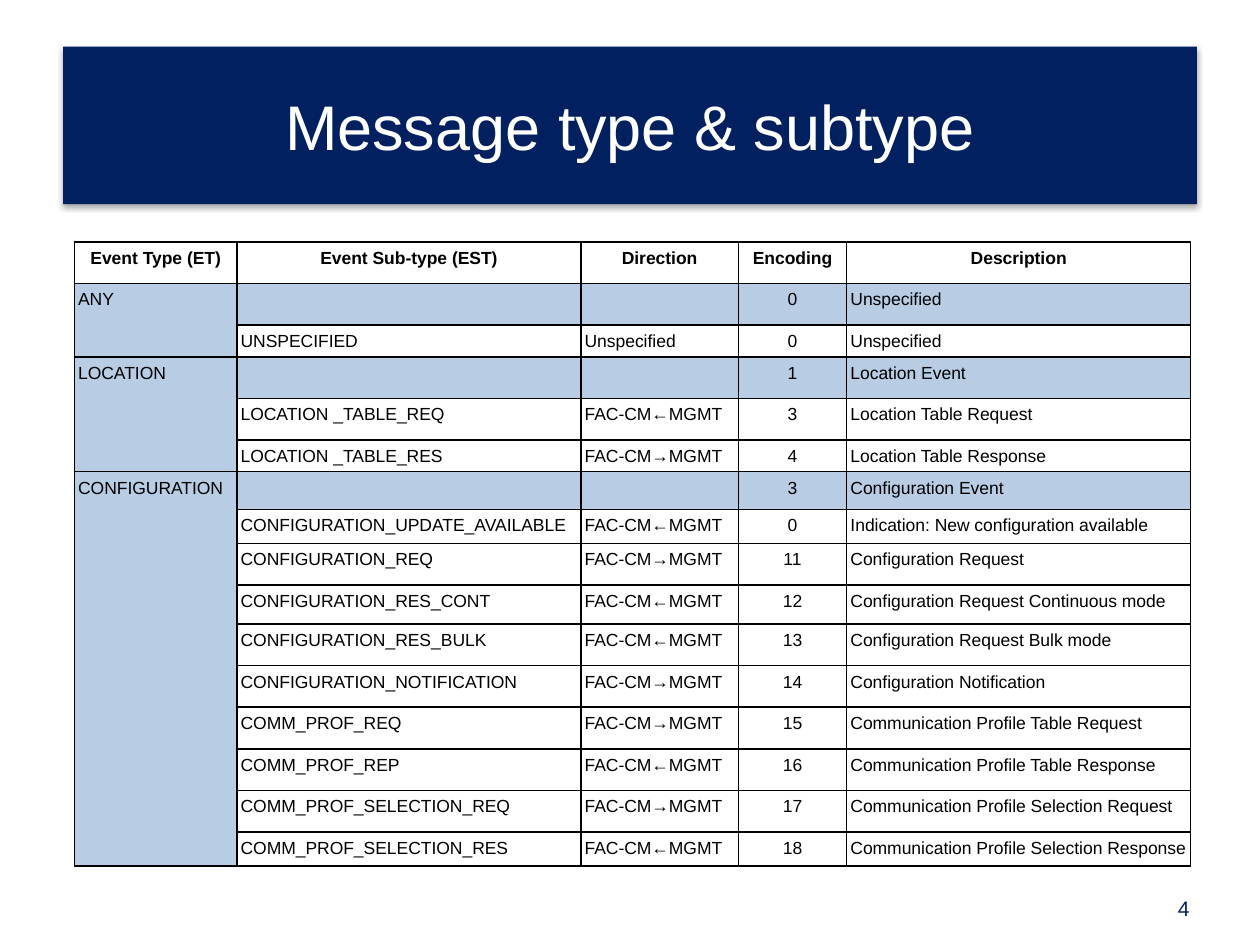
import pptx
import pptx.dml.color
import pptx.enum.text
import pptx.oxml
import pptx.oxml.ns
import pptx.util
from pptx.util import Inches

TITLE = "Message type & subtype"
PAGE_NUMBER = "4"
HEADINGS = ["Event Type (ET)", "Event Sub-type (EST)", "Direction", "Encoding", "Description"]
TO_FACILITY = "FAC-CM←MGMT"
TO_MANAGEMENT = "FAC-CM→MGMT"
EVENTS = [
    ("ANY", "0", "Unspecified", [
        ("UNSPECIFIED", "Unspecified", "0", "Unspecified"),
    ]),
    ("LOCATION", "1", "Location Event", [
        ("LOCATION _TABLE_REQ", TO_FACILITY, "3", "Location Table Request"),
        ("LOCATION _TABLE_RES", TO_MANAGEMENT, "4", "Location Table Response"),
    ]),
    ("CONFIGURATION", "3", "Configuration Event", [
        ("CONFIGURATION_UPDATE_AVAILABLE", TO_FACILITY, "0", "Indication: New configuration available"),
        ("CONFIGURATION_REQ", TO_MANAGEMENT, "11", "Configuration Request"),
        ("CONFIGURATION_RES_CONT", TO_FACILITY, "12", "Configuration Request Continuous mode"),
        ("CONFIGURATION_RES_BULK", TO_FACILITY, "13", "Configuration Request Bulk mode"),
        ("CONFIGURATION_NOTIFICATION", TO_MANAGEMENT, "14", "Configuration Notification"),
        ("COMM_PROF_REQ", TO_MANAGEMENT, "15", "Communication Profile Table Request"),
        ("COMM_PROF_REP", TO_FACILITY, "16", "Communication Profile Table Response"),
        ("COMM_PROF_SELECTION_REQ", TO_MANAGEMENT, "17", "Communication Profile Selection Request"),
        ("COMM_PROF_SELECTION_RES", TO_FACILITY, "18", "Communication Profile Selection Response"),
    ]),
]
COLUMN_WIDTHS = [1.29, 2.73, 1.25, 0.86, 2.73]
ROW_HEIGHT = 0.33
SHORT_ROWS = {2: 0.24, 5: 0.25, 6: 0.3, 7: 0.27, 9: 0.31, 15: 0.27}
ENCODING_COLUMN = 3
CELL_MARGIN = Inches(0.03)


class Theme:
    font = "Arial"
    navy = "002060"
    white = "FFFFFF"
    black = "000000"
    event_fill = "B8CCE4"
    title_size = 36
    number_size = 12
    table_size = 10
    border_width = 1
    line_spacing = 1.15


def colour(code):
    return pptx.dml.color.RGBColor.from_string(code)


def add_span(para, text, size, code, bold=False):
    span = para.add_run()
    span.text = text
    span.font.name = Theme.font
    span.font.size = pptx.util.Pt(size)
    span.font.color.rgb = colour(code)
    span.font.bold = bold


def xml(text):
    return pptx.oxml.parse_xml(text.replace(">", f" {pptx.oxml.ns.nsdecls('a')}>", 1))


def add_borders(cell):
    properties = cell._tc.get_or_add_tcPr()
    width = int(pptx.util.Pt(Theme.border_width))
    for position, side in enumerate(("lnL", "lnR", "lnT", "lnB")):
        properties.insert(position, xml(
            f'<a:{side} w="{width}"><a:solidFill><a:srgbClr val="{Theme.black}"/>'
            f'</a:solidFill></a:{side}>'))


def fill_cell(cell, text, fill, centred, bold):
    cell.margin_left = cell.margin_right = CELL_MARGIN
    cell.margin_top = cell.margin_bottom = CELL_MARGIN
    if fill:
        cell.fill.solid()
        cell.fill.fore_color.rgb = colour(fill)
    else:
        cell.fill.background()
    add_borders(cell)
    para = cell.text_frame.paragraphs[0]
    para.line_spacing = Theme.line_spacing
    para.alignment = pptx.enum.text.PP_ALIGN.CENTER if centred else pptx.enum.text.PP_ALIGN.LEFT
    if text:
        add_span(para, text, Theme.table_size, Theme.black, bold)
    else:
        para._p.append(xml(f'<a:endParaRPr sz="{Theme.table_size * 100}"></a:endParaRPr>'))


def add_title(page):
    title = page.shapes.title
    title.left, title.top, title.width, title.height = map(Inches, (0.5, 0.37, 9, 1.25))
    title.fill.solid()
    title.fill.fore_color.rgb = colour(Theme.navy)
    title._element.spPr.append(xml(
        '<a:effectLst><a:outerShdw blurRad="39370" dist="22860" dir="5400000" rotWithShape="0">'
        f'<a:srgbClr val="{Theme.black}"><a:alpha val="35000"/></a:srgbClr>'
        '</a:outerShdw></a:effectLst>'))
    title.text_frame.vertical_anchor = pptx.enum.text.MSO_ANCHOR.MIDDLE
    para = title.text_frame.paragraphs[0]
    para.alignment = pptx.enum.text.PP_ALIGN.CENTER
    add_span(para, TITLE, Theme.title_size, Theme.white)


def add_event_table(page):
    rows = [HEADINGS]
    event_spans = {}
    for name, code, description, subtypes in EVENTS:
        event_spans[len(rows)] = len(subtypes)
        rows.append((name, "", "", code, description))
        rows.extend(("", *subtype) for subtype in subtypes)
    heights = [SHORT_ROWS.get(index, ROW_HEIGHT) for index in range(len(rows))]
    frame = page.shapes.add_table(
        len(rows), len(HEADINGS), Inches(0.59), Inches(1.92),
        Inches(sum(COLUMN_WIDTHS)), Inches(sum(heights)))
    table = frame.table
    table.first_row = table.horz_banding = False
    for column, width in zip(table.columns, COLUMN_WIDTHS):
        column.width = Inches(width)
    for row_index, values in enumerate(rows):
        table.rows[row_index].height = Inches(heights[row_index])
        heading = row_index == 0
        for column_index, text in enumerate(values):
            shaded = not heading and (column_index == 0 or row_index in event_spans)
            fill_cell(table.cell(row_index, column_index), text,
                      Theme.event_fill if shaded else None,
                      heading or column_index == ENCODING_COLUMN, heading)
    for start, count in event_spans.items():
        table.cell(start, 0).merge(table.cell(start + count, 0))


def add_page_number(page):
    box = page.shapes.add_textbox(*map(Inches, (9.25, 7.06, 0.55, 0.3)))
    box.text_frame.word_wrap = True
    box.text_frame.auto_size = pptx.enum.text.MSO_AUTO_SIZE.SHAPE_TO_FIT_TEXT
    add_span(box.text_frame.paragraphs[0], PAGE_NUMBER, Theme.number_size, Theme.navy)


deck = pptx.Presentation()
deck.slide_width, deck.slide_height = Inches(10), Inches(7.5)
page = deck.slides.add_slide(deck.slide_layouts[5])
add_page_number(page)
add_title(page)
add_event_table(page)
deck.save("out.pptx")
